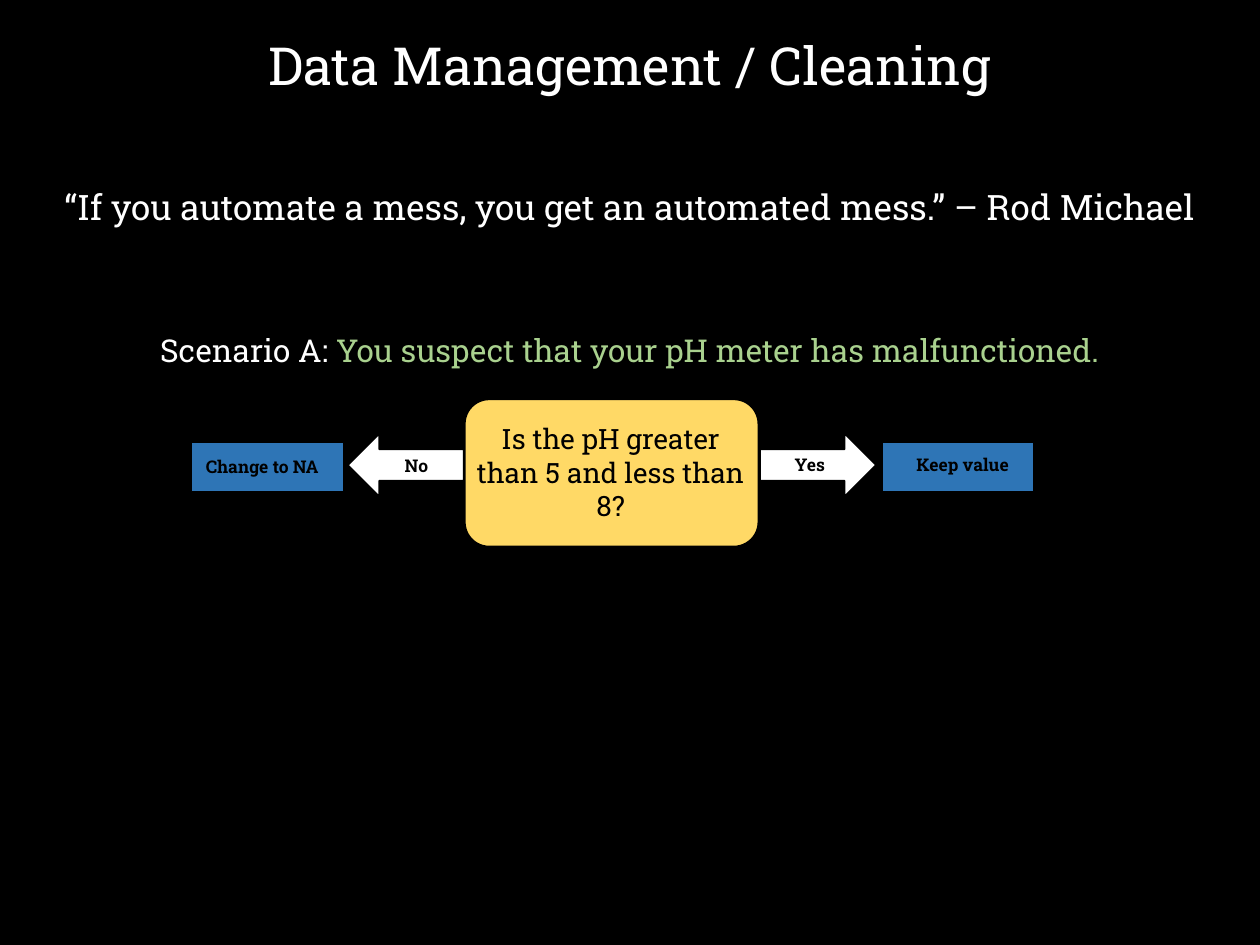
from dataclasses import dataclass

from pptx import Presentation
from pptx.dml.color import RGBColor
from pptx.enum.shapes import MSO_SHAPE
from pptx.enum.text import MSO_ANCHOR, PP_ALIGN
from pptx.slide import Slide
from pptx.util import Cm, Pt

COLORS = {
    "black": "000000",
    "white": "FFFFFF",
    "green": "A9D18E",
    "yellow": "FFD966",
    "blue": "2E75B6",
}
FONT = "Roboto Slab"


@dataclass
class Box:
    left: float
    top: float
    width: float
    height: float

    def lengths(self) -> list[Cm]:
        """Return position and size as lengths."""
        return [Cm(v) for v in (self.left, self.top, self.width, self.height)]


@dataclass
class Block:
    kind: MSO_SHAPE
    box: Box
    fill: str
    rotation: int = 0


@dataclass
class Label:
    box: Box
    runs: list[tuple[str, str]]
    size: int
    bold: bool = False
    spacing: float = 1.0
    anchor: MSO_ANCHOR = MSO_ANCHOR.TOP


def rgb(name: str) -> RGBColor:
    """Look up a named colour."""
    return RGBColor.from_string(COLORS[name])


def draw_block(s: Slide, block: Block) -> None:
    """Draw a filled shape with a thin black outline."""
    sp = s.shapes.add_shape(block.kind, *block.box.lengths())
    sp.rotation = block.rotation
    sp.shadow.inherit = False
    sp.fill.solid()
    sp.fill.fore_color.rgb = rgb(block.fill)
    sp.line.color.rgb = rgb("black")
    sp.line.width = Pt(1)


def draw_label(s: Slide, label: Label) -> None:
    """Draw a centred text box of coloured runs."""
    tf = s.shapes.add_textbox(*label.box.lengths()).text_frame
    tf.word_wrap = True
    tf.vertical_anchor = label.anchor
    p = tf.paragraphs[0]
    p.alignment = PP_ALIGN.CENTER
    p.line_spacing = label.spacing
    font_format = {"name": FONT, "size": Pt(label.size), "bold": label.bold}
    for text, color in label.runs:
        r = p.add_run()
        r.text = text
        for key, value in font_format.items():
            setattr(r.font, key, value)
        r.font.color.rgb = rgb(color)


BLOCKS = [
    Block(MSO_SHAPE.ROUNDED_RECTANGLE, Box(9.37, 8.05, 5.92, 2.97), "yellow"),
    Block(MSO_SHAPE.RIGHT_ARROW, Box(15.32, 8.74, 2.34, 1.27), "white"),
    Block(MSO_SHAPE.RIGHT_ARROW, Box(7.01, 8.74, 2.34, 1.27), "white", 180),
    Block(MSO_SHAPE.RECTANGLE, Box(3.86, 8.92, 3.07, 0.99), "blue"),
    Block(MSO_SHAPE.RECTANGLE, Box(17.78, 8.92, 3.07, 0.99), "blue"),
]

LABELS = [
    Label(Box(0, 0.64, 25.4, 1.47), [("Data Management / Cleaning", "white")], 30,
          spacing=0.9, anchor=MSO_ANCHOR.MIDDLE),
    Label(Box(0, 3.61, 25.4, 1.12),
          [("“If you automate a mess, you get an automated mess.” – Rod Michael", "white")], 20),
    Label(Box(1.37, 6.55, 22.66, 1.02),
          [("Scenario A: ", "white"),
           ("You suspect that your pH meter has malfunctioned.", "green")], 18),
    Label(Box(9.35, 8.38, 5.92, 2.31),
          [("Is the pH greater than 5 and less than 8?", "black")], 16),
    Label(Box(7.67, 9.04, 1.45, 0.69), [("No", "black")], 10, True),
    Label(Box(15.6, 9.02, 1.45, 0.69), [("Yes", "black")], 10, True),
    Label(Box(3.61, 9.07, 3.35, 0.69), [("Change to NA", "black")], 10, True),
    Label(Box(17.93, 9.02, 2.95, 0.69), [("Keep value", "black")], 10, True),
]


def main() -> None:
    """Build and save the slide."""
    prs = Presentation()
    prs.slide_width, prs.slide_height = Cm(25.4), Cm(19.05)
    s = prs.slides.add_slide(prs.slide_layouts[6])
    s.background.fill.solid()
    s.background.fill.fore_color.rgb = rgb("black")
    for block in BLOCKS:
        draw_block(s, block)
    for label in LABELS:
        draw_label(s, label)
    prs.save("out.pptx")


if __name__ == "__main__":
    main()
